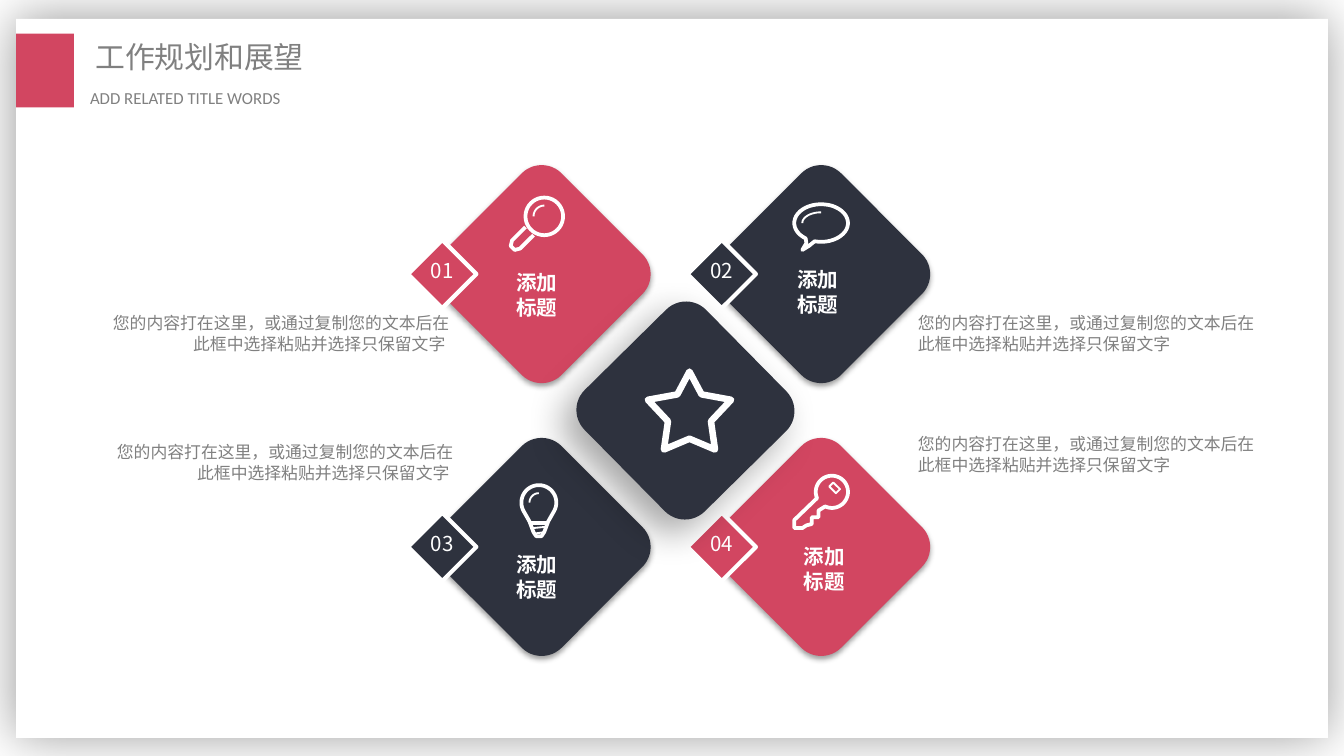
"""Build the work plan and outlook slide with four numbered diamonds."""
from math import cos, radians, sin
from pptx import Presentation
from pptx.dml.color import RGBColor
from pptx.enum.shapes import MSO_SHAPE
from pptx.enum.text import MSO_ANCHOR, PP_ALIGN
from pptx.oxml.ns import qn
from pptx.util import Inches, Pt
from lxml.etree import SubElement

COLORS = {"red": "D24661", "navy": "2E323E", "gray": "808080", "white": "FFFFFF", "black": "000000"}
CJK = "Noto Sans CJK SC"
TITLE, SUBTITLE = "工作规划和展望", "ADD RELATED TITLE WORDS"
BODY = "您的内容打在这里，或通过复制您的文本后在此框中选择粘贴并选择只保留文字 "
LABEL = ["添加", "标题"]
BODIES = [
    (6.79, 2.29, PP_ALIGN.LEFT),
    (6.79, 3.19, PP_ALIGN.LEFT),
    (0.74, 2.29, PP_ALIGN.RIGHT),
    (0.77, 3.25, PP_ALIGN.RIGHT),
]


def arc(cx, cy, rx, ry, start, end):
    """Return points along an elliptical arc, angles clockwise from the right."""
    steps = 40
    angles = [radians(start + (end - start) * i / steps) for i in range(steps + 1)]
    return [(cx + rx * cos(a), cy + ry * sin(a)) for a in angles]


STAR_HALF = [(0, -0.29), (0.09, -0.12), (0.31, -0.08), (0.16, 0.08), (0.19, 0.29), (0, 0.21)]
STAR = [(x + 0.03, y) for x, y in STAR_HALF + [(-x, y) for x, y in STAR_HALF[-2:0:-1]]]

MAGNIFIER = [
    (arc(0.02, -0.43, 0.14, 0.14, 0, 360), True, 2),
    ([(-0.12, -0.35), (-0.22, -0.25), (-0.23, -0.21), (-0.2, -0.18), (-0.16, -0.19), (-0.06, -0.29)], False, 2),
    (arc(0.02, -0.43, 0.08, 0.08, 180, 270), False, 1),
]
BUBBLE = [
    (arc(0, -0.38, 0.2, 0.14, 125, 464) + [(-0.09, -0.21), (-0.14, -0.18), (-0.11, -0.23)], True, 2),
    (arc(0, -0.38, 0.14, 0.08, 180, 270), False, 1),
]
BULB = [
    (arc(-0.02, -0.33, 0.13, 0.13, 150, 390)
     + [(0.05, -0.19), (0.02, -0.11), (0, -0.08), (-0.04, -0.08), (-0.06, -0.11), (-0.09, -0.19)], True, 2),
    ([(-0.09, -0.18), (0.05, -0.18)], False, 2),
    ([(-0.07, -0.14), (0.03, -0.15)], False, 1),
    ([(-0.05, -0.1), (0.02, -0.11)], False, 1),
    (arc(-0.02, -0.33, 0.07, 0.07, 180, 270), False, 1),
]
KEY = [
    (arc(0.08, -0.41, 0.12, 0.12, 157, 475)
     + [(-0.02, -0.27), (-0.02, -0.22), (-0.07, -0.22), (-0.07, -0.17), (-0.11, -0.16),
        (-0.14, -0.14), (-0.2, -0.14), (-0.2, -0.2)], True, 2),
    ([(0.09, -0.48), (0.14, -0.43), (0.11, -0.4), (0.06, -0.45)], True, 1),
]
CARDS = [
    ("01", "red", MAGNIFIER, -0.03, 0.15),
    ("02", "navy", BUBBLE, -0.02, 0.13),
    ("03", "navy", BULB, -0.03, 0.22),
    ("04", "red", KEY, 0.03, 0.16),
]
COLUMNS, ROWS = (4.03, 6.11), (2.04, 4.07)

prs = Presentation()
prs.slide_width, prs.slide_height = Inches(10), Inches(10 * 9 / 16)
s = prs.slides.add_slide(prs.slide_layouts[5])


def rgb(name):
    """Return a palette colour."""
    return RGBColor.from_string(COLORS[name])


def add_shadow(sp, alpha, blur, dist, angle):
    """Give a shape an outer shadow."""
    effects = sp._element.spPr.find(qn("a:effectLst"))
    shadow = SubElement(effects, qn("a:outerShdw"), blurRad=str(Pt(blur)), dist=str(Pt(dist)),
                        dir=str(angle * 60000), algn="ctr", rotWithShape="0")
    color = SubElement(shadow, qn("a:srgbClr"), val=COLORS["black"])
    SubElement(color, qn("a:alpha"), val=str(alpha * 1000))


def add_box(kind, x, y, w, h, fill, shadow=None):
    """Add a filled shape without an outline."""
    sp = s.shapes.add_shape(kind, Inches(x), Inches(y), Inches(w), Inches(h))
    sp.shadow.inherit = False
    sp.fill.solid()
    sp.fill.fore_color.rgb = rgb(fill)
    sp.line.fill.background()
    if shadow:
        add_shadow(sp, *shadow)
    return sp


def add_diamond(cx, cy, fill, shadow, angle=45):
    """Add a rounded square turned onto its corner."""
    side = 1.27
    sp = add_box(MSO_SHAPE.ROUNDED_RECTANGLE, cx - side / 2, cy - side / 2, side, side, fill, shadow)
    sp.adjustments[0] = 0.165
    sp.rotation = angle


def add_icon(cx, cy, strokes):
    """Draw white strokes, each given as points, closed flag and width, around a centre."""
    for points, closed, width in strokes:
        spots = [(Inches(cx + x), Inches(cy + y)) for x, y in points]
        builder = s.shapes.build_freeform(*spots[0])
        builder.add_line_segments(spots[1:], close=closed)
        sp = builder.convert_to_shape()
        sp.shadow.inherit = False
        sp.fill.background()
        sp.line.color.rgb = rgb("white")
        sp.line.width = Pt(width)
        SubElement(sp.line._get_or_add_ln(), qn("a:round"))


def set_text(sp, lines, size, color, inset, align=PP_ALIGN.LEFT, wrap=True, bold=False, font=CJK):
    """Fill a shape with evenly formatted lines."""
    tf = sp.text_frame
    tf.text = "\n".join(lines)
    tf.word_wrap = wrap
    tf.vertical_anchor = MSO_ANCHOR.TOP
    tf.margin_left = tf.margin_right = Inches(inset[0])
    tf.margin_top = tf.margin_bottom = Inches(inset[1])
    for p in tf.paragraphs:
        p.alignment = align
        p.line_spacing = Pt(round(size * 1.2, 1))
        for r in p.runs:
            r.font.size, r.font.bold, r.font.name = Pt(size), bold, font
            r.font.color.rgb = rgb(color)
            SubElement(r.font._element, qn("a:ea"), typeface=font)


def add_text(x, y, w, h, *args, **kwargs):
    """Add a text box."""
    set_text(s.shapes.add_textbox(Inches(x), Inches(y), Inches(w), Inches(h)), *args, **kwargs)


add_box(MSO_SHAPE.RECTANGLE, 0.12, 0.14, 9.76, 5.35, "white", (40, 29, 0, 0))
add_box(MSO_SHAPE.RECTANGLE, 0.12, 0.25, 0.43, 0.55, "red")
title = s.shapes.title
title.left, title.top, title.width, title.height = Inches(0.63), Inches(0.25), Inches(2.01), Inches(0.35)
set_text(title, [TITLE], 16, "gray", (0.08, 0.04))
s.shapes._spTree.append(title._element)
add_text(0.59, 0.61, 2.23, 0.23, [SUBTITLE], 9, "gray", (0.08, 0.04), align=PP_ALIGN.JUSTIFY, font="Calibri")

for i, (number, fill, icon, label_dx, label_dy) in enumerate(CARDS):
    cx, cy = COLUMNS[i % 2], ROWS[i // 2]
    add_diamond(cx, cy, fill, (38, 3.1, 1.6, 90))
    badge = add_box(MSO_SHAPE.RECTANGLE, cx - 0.92, cy - 0.18, 0.36, 0.36, fill)
    badge.rotation = 45
    badge.line.color.rgb = rgb("white")
    badge.line.width = Pt(2.25)
    centred = {"align": PP_ALIGN.CENTER, "wrap": False}
    add_text(cx - 0.88, cy - 0.17, 0.28, 0.29, [number], 11, "white", (0.05, 0.05), **centred)
    add_icon(cx, cy, icon)
    add_text(cx + label_dx - 0.21, cy + label_dy - 0.23, 0.41, 0.47, LABEL, 11, "white",
             (0.05, 0.05), bold=True, **centred)

centre = (sum(COLUMNS) / 2 + 0.03, sum(ROWS) / 2)
add_diamond(*centre, "navy", (34, 20, 10, 136), 45.4)
add_icon(*centre, [(STAR, True, 3.5)])
for x, y, align in BODIES:
    add_text(x, y, 2.64, 0.38, [BODY], 9, "gray", (0.04, 0.04), align)

prs.save("out.pptx")
